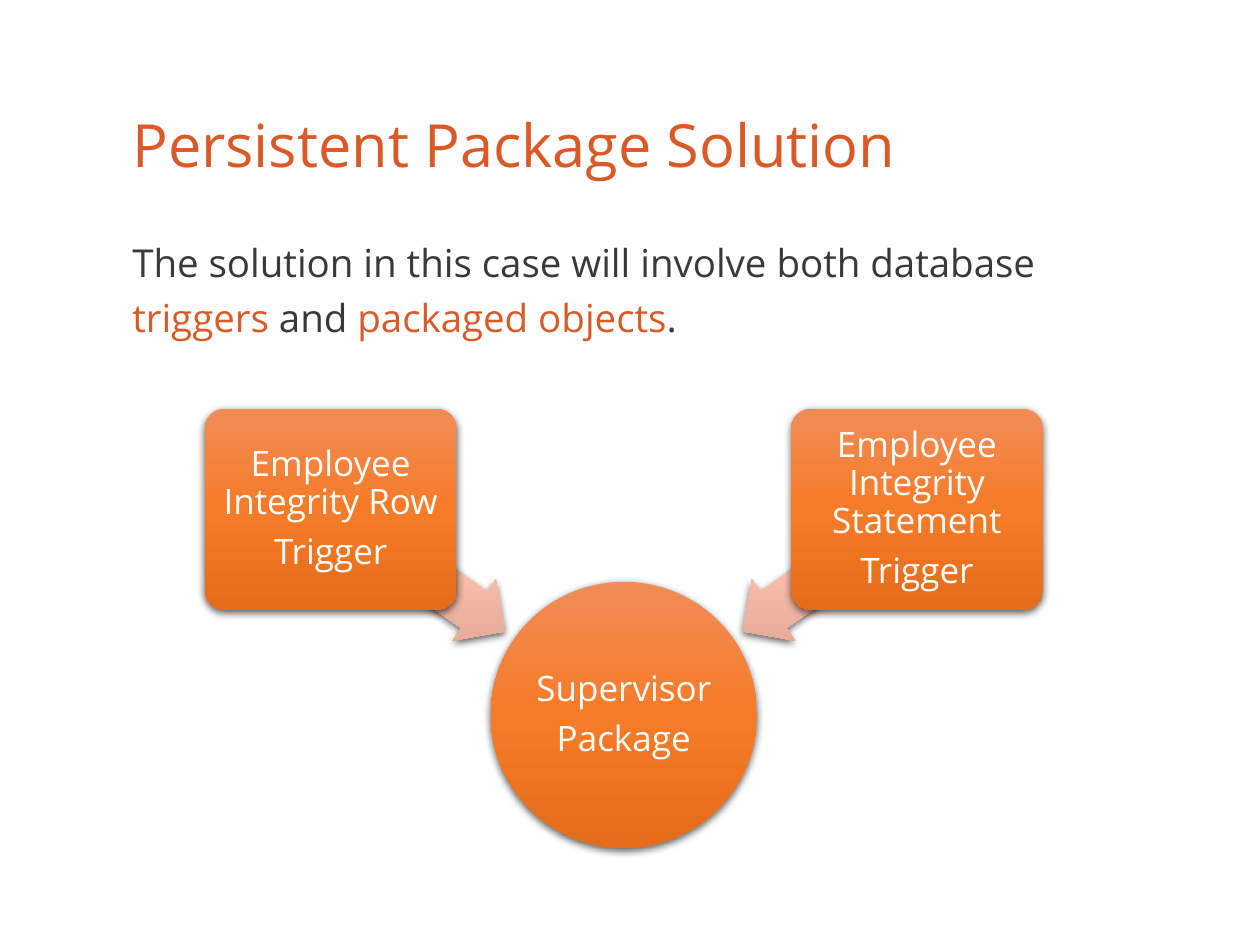
from copy import deepcopy

from lxml.etree import SubElement
from pptx import Presentation
from pptx.dml.color import RGBColor
from pptx.enum.shapes import MSO_SHAPE
from pptx.enum.text import MSO_ANCHOR, PP_ALIGN
from pptx.oxml.ns import qn
from pptx.util import Pt

COLORS = {"accent": "D95A27", "text": "3B3838", "white": "FFFFFF", "shadow": "000000"}
NODE_GRADIENT = ("F18C57", "F67B28", "E56C19")
ARROW_GRADIENT = ("F7C9BA", "F8BEAA", "E2A692")


class SlideBuilder:
    font_name = "Open Sans"

    def __init__(self, page):
        self.page = page

    def set_font(self, font, size, color):
        font.name = self.font_name
        font.size = Pt(size)
        font.color.rgb = RGBColor.from_string(COLORS[color])

    def place(self, box, left, top, width, height):
        box.left, box.top = Pt(left), Pt(top)
        box.width, box.height = Pt(width), Pt(height)

    def title(self, text, *area):
        box = self.page.shapes.title
        self.place(box, *area)
        frame = box.text_frame
        frame.text = text
        frame.vertical_anchor = MSO_ANCHOR.BOTTOM
        paragraph = frame.paragraphs[0]
        paragraph.alignment = PP_ALIGN.LEFT
        paragraph.line_spacing = 0.9
        self.set_font(paragraph.font, 34, "accent")

    def body(self, spans, *area):
        box = self.page.placeholders[1]
        self.place(box, *area)
        paragraph = box.text_frame.paragraphs[0]
        paragraph.line_spacing = 1.2
        paragraph.space_before = paragraph.space_after = Pt(6)
        properties = paragraph._p.get_or_add_pPr()
        properties.set("marL", "0")
        properties.set("indent", "0")
        SubElement(properties, qn("a:buNone"))
        for text, color in spans:
            span = paragraph.add_run()
            span.text = text
            self.set_font(span.font, 22, color)

    def shape(self, kind, gradient, center, middle, width, height):
        shape = self.page.shapes.add_shape(
            kind, Pt(center - width / 2), Pt(middle - height / 2), Pt(width), Pt(height))
        shape.line.fill.background()
        self.fill_gradient(shape, gradient)
        self.add_shadow(shape)
        return shape

    def fill_gradient(self, shape, gradient):
        shape.fill.gradient()
        shape.fill.gradient_angle = 270
        properties = shape._element.spPr.find(qn("a:gradFill"))
        properties.set("rotWithShape", "0")
        # The default gradient has two stops; add one halfway
        stop_list = properties.find(qn("a:gsLst"))
        halfway = deepcopy(stop_list[0])
        halfway.set("pos", "50000")
        stop_list.insert(1, halfway)
        for stop, color in zip(shape.fill.gradient_stops, gradient):
            stop.color.rgb = RGBColor.from_string(color)

    def add_shadow(self, shape):
        shape.shadow.inherit = False
        effects = shape._element.spPr.find(qn("a:effectLst"))
        shadow = SubElement(effects, qn("a:outerShdw"), blurRad=str(Pt(4.5)),
                            dist=str(Pt(1.5)), dir="5400000", rotWithShape="0")
        color = SubElement(shadow, qn("a:srgbClr"), val=COLORS["shadow"])
        SubElement(color, qn("a:alpha"), val="63000")

    def node(self, kind, lines, inset, *area):
        shape = self.shape(kind, NODE_GRADIENT, *area)
        frame = shape.text_frame
        frame.word_wrap = True
        frame.vertical_anchor = MSO_ANCHOR.MIDDLE
        frame.margin_left = frame.margin_right = Pt(inset)
        frame.margin_top = frame.margin_bottom = Pt(inset)
        frame.text = "\n".join(lines)
        for paragraph in frame.paragraphs:
            paragraph.alignment = PP_ALIGN.CENTER
            paragraph.line_spacing = 0.9
            paragraph.space_after = Pt(7)
            self.set_font(paragraph.font, 20, "white")
        return shape

    def arrow(self, rotation, *area):
        shape = self.shape(MSO_SHAPE.LEFT_ARROW, ARROW_GRADIENT, *area)
        shape.adjustments[0] = 0.6
        shape.adjustments[1] = 0.5
        shape.rotation = rotation


def main():
    deck = Presentation()
    deck.slide_width, deck.slide_height = Pt(720), Pt(540)
    builder = SlideBuilder(deck.slides.add_slide(deck.slide_layouts[1]))

    # Title and introduction
    builder.title("Persistent Package Solution", 68.4, 57, 579, 49.5)
    builder.body([
        ("The solution in this case will involve both database ", "text"),
        ("triggers", "accent"),
        (" and ", "text"),
        ("packaged objects", "accent"),
        (".", "text"),
    ], 68.4, 127.5, 579, 342.5)

    # Package circle, with a trigger pointing at it from each side
    axis = 356.5
    builder.node(MSO_SHAPE.OVAL, ["Supervisor", "Package"], 1, axis, 408.5, 152, 152)
    triggers = [
        (-1, 215, "Employee Integrity Row"),
        (1, 325, "Employee Integrity Statement"),
    ]
    for side, rotation, name in triggers:
        builder.arrow(rotation, axis + side * 117.7, 326, 121.5, 43)
        box = builder.node(MSO_SHAPE.ROUNDED_RECTANGLE, [name, "Trigger"], 3,
                           axis + side * 167.5, 291, 144, 115)
        box.adjustments[0] = 0.1

    deck.save("out.pptx")


if __name__ == "__main__":
    main()
